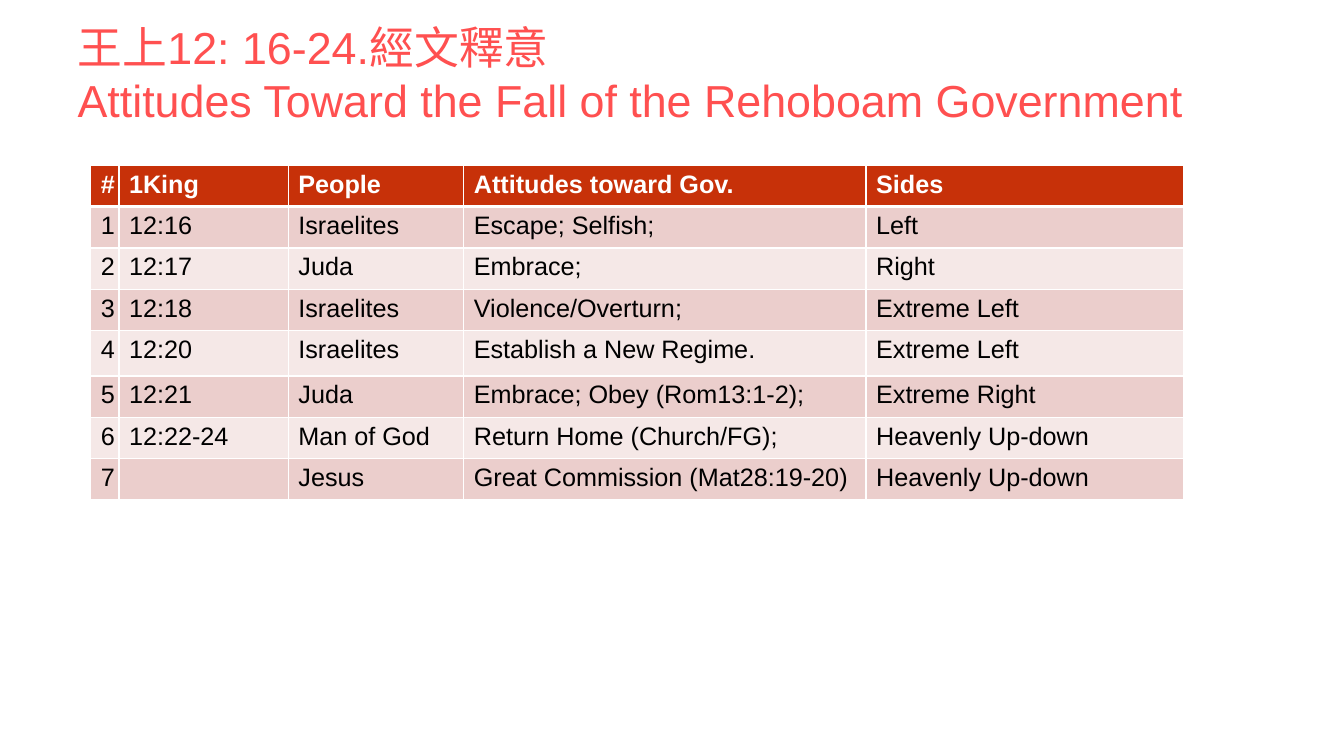
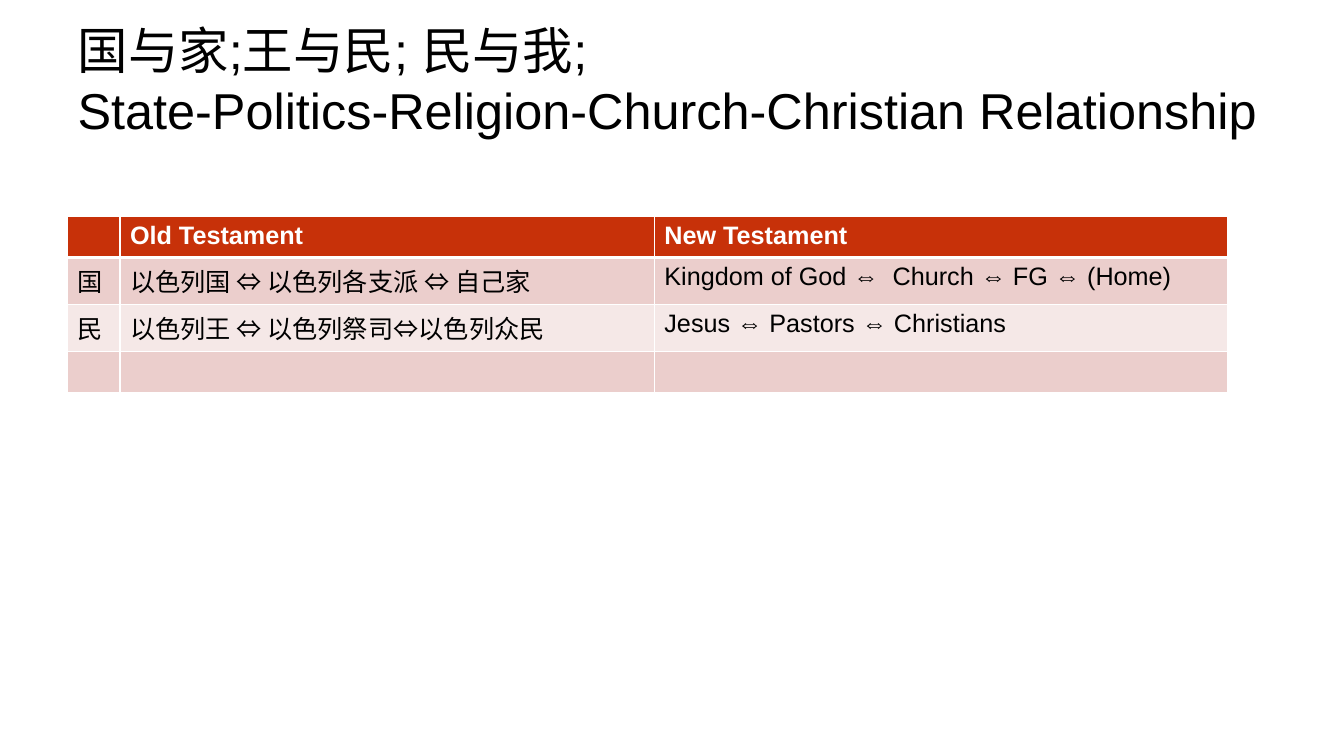
from lxml import etree
from pptx import Presentation
from pptx.dml.color import RGBColor
from pptx.enum.text import MSO_ANCHOR, MSO_AUTO_SIZE, PP_ALIGN
from pptx.oxml.ns import qn
from pptx.util import Inches, Pt

# Shared style
FONT = "Arial"
CORAL = RGBColor(0xFF, 0x50, 0x50)
BLACK = RGBColor(0x00, 0x00, 0x00)
WHITE = RGBColor(0xFF, 0xFF, 0xFF)
HEADER_RED = RGBColor(0xC7, 0x31, 0x09)
BAND_FILLS = (RGBColor(0xEB, 0xCE, 0xCC), RGBColor(0xF5, 0xE8, 0xE7))
CELL_SIZE = 18
THIN, THICK = 1, 3
LEFT, MIDDLE = PP_ALIGN.LEFT, MSO_ANCHOR.MIDDLE
NO_AUTOFIT = MSO_AUTO_SIZE.NONE
TITLE_ONLY = 5

# Content
SLIDES = [
    {
        "title": ["王上12: 16-24.經文釋意",
                  "Attitudes Toward the Fall of the Rehoboam Government"],
        "title_size": 32, "title_color": CORAL, "title_height": 1.03,
        "table_at": (0.9, 1.64),
        "columns": [0.28, 1.68, 1.74, 3.99, 3.15],
        "row_heights": [0.41, 0.41, 0.41, 0.41, 0.45, 0.41, 0.41, 0.41],
        "rows": [
            ("#", "1King", "People", "Attitudes toward Gov.", "Sides"),
            ("1", "12:16", "Israelites", "Escape; Selfish;", "Left"),
            ("2", "12:17", "Juda", "Embrace;", "Right"),
            ("3", "12:18", "Israelites", "Violence/Overturn;", "Extreme Left"),
            ("4", "12:20", "Israelites", "Establish a New Regime.", "Extreme Left"),
            ("5", "12:21", "Juda", "Embrace; Obey (Rom13:1-2);", "Extreme Right"),
            ("6", "12:22-24", "Man of God", "Return Home (Church/FG);", "Heavenly Up-down"),
            ("7", "", "Jesus", "Great Commission (Mat28:19-20)", "Heavenly Up-down"),
        ],
    },
    {
        "title": ["国与家;王与民; 民与我;",
                  "State-Politics-Religion-Church-Christian Relationship"],
        "title_size": 36, "title_color": BLACK, "title_height": 1.15,
        "table_at": (0.67, 2.15),
        "columns": [0.52, 5.3, 5.69],
        "row_heights": [0.38, 0.46, 0.47, 0.37],
        "rows": [
            ("", "Old Testament", "New Testament"),
            ("国", "以色列国 ⇔ 以色列各支派 ⇔ 自己家",
             "Kingdom of God ⇔  Church ⇔ FG ⇔ (Home)"),
            ("民", "以色列王 ⇔ 以色列祭司⇔以色列众民",
             "Jesus ⇔ Pastors ⇔ Christians"),
            ("", "", ""),
        ],
    },
]


def add_span(para, text, size, color, bold=False):
    span = para.add_run()
    span.text = text
    span.font.name = FONT
    span.font.size = Pt(size)
    span.font.bold = bold
    span.font.color.rgb = color


def set_borders(cell, top, bottom):
    """Draw white borders; the line elements must come before the fill."""
    properties = cell._tc.get_or_add_tcPr()
    widths = (("a:lnL", THIN), ("a:lnR", THIN), ("a:lnT", top), ("a:lnB", bottom))
    for position, (tag, width) in enumerate(widths):
        line = etree.Element(qn(tag), w=str(Pt(width)))
        fill = etree.SubElement(line, qn("a:solidFill"))
        etree.SubElement(fill, qn("a:srgbClr"), val=str(WHITE))
        properties.insert(position, line)


def fill_title(page, content):
    title = page.shapes.title
    title.left, title.top = Inches(0.67), Inches(0.21)
    title.width, title.height = Inches(12), Inches(content["title_height"])
    frame = title.text_frame
    frame.word_wrap = True
    frame.auto_size = NO_AUTOFIT
    frame.vertical_anchor = MIDDLE
    para = frame.paragraphs[0]
    para.alignment = LEFT
    for number, text in enumerate(content["title"]):
        if number:
            para.add_line_break()
        add_span(para, text, content["title_size"], content["title_color"])


def add_banded_table(page, content):
    rows, columns, heights = content["rows"], content["columns"], content["row_heights"]
    left, top = content["table_at"]
    table = page.shapes.add_table(
        len(rows), len(columns), Inches(left), Inches(top),
        Inches(sum(columns)), Inches(sum(heights))).table
    for column, width in zip(table.columns, columns):
        column.width = Inches(width)
    for number, (row, height, texts) in enumerate(zip(table.rows, heights, rows)):
        row.height = Inches(height)
        header = number == 0
        for cell, text in zip(row.cells, texts):
            cell.fill.solid()
            cell.fill.fore_color.rgb = HEADER_RED if header else BAND_FILLS[(number - 1) % 2]
            set_borders(cell, THICK if number == 1 else THIN, THICK if header else THIN)
            if text:
                add_span(cell.text_frame.paragraphs[0], text, CELL_SIZE,
                         WHITE if header else BLACK, header)


def main():
    deck = Presentation()
    deck.slide_width, deck.slide_height = Inches(13.33), Inches(7.5)
    for content in SLIDES:
        page = deck.slides.add_slide(deck.slide_layouts[TITLE_ONLY])
        fill_title(page, content)
        add_banded_table(page, content)
    deck.save("out.pptx")


if __name__ == "__main__":
    main()
